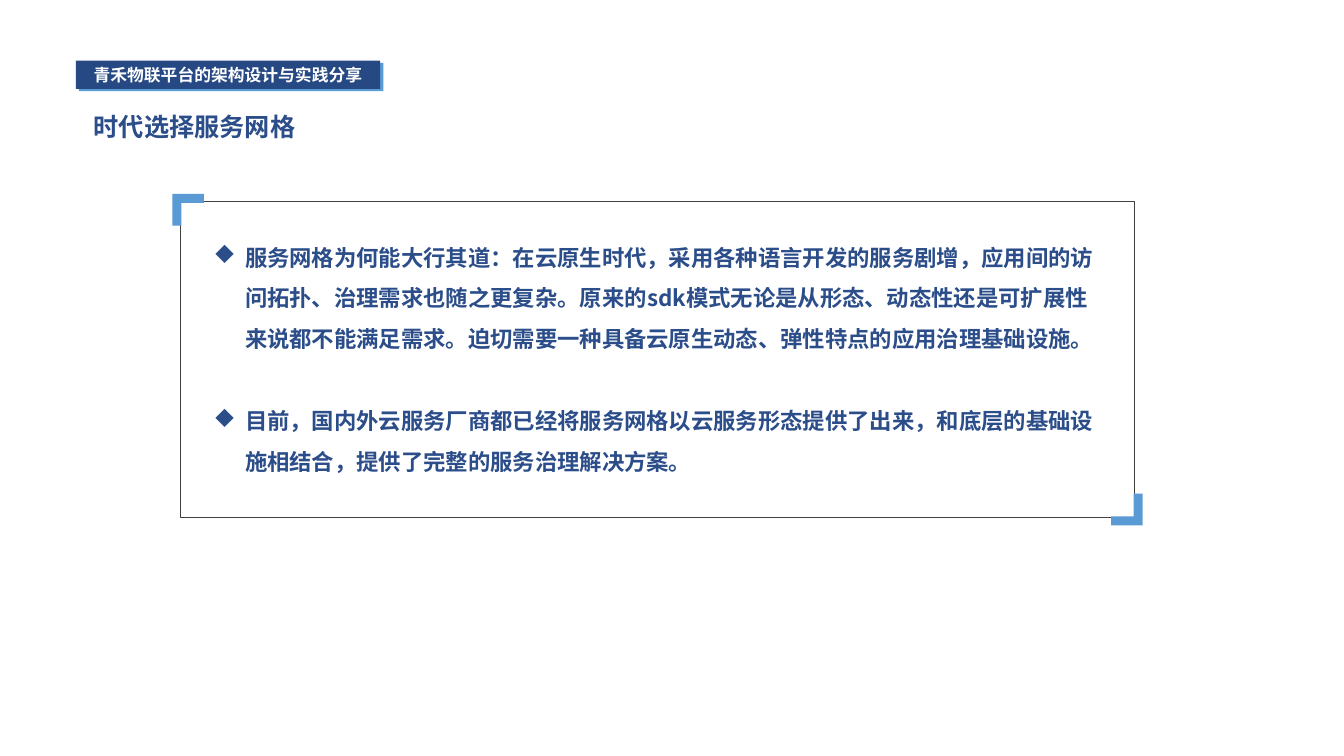
from lxml.etree import SubElement
from pptx import Presentation
from pptx.dml.color import RGBColor
from pptx.enum.shapes import MSO_SHAPE
from pptx.enum.text import MSO_ANCHOR, PP_ALIGN
from pptx.oxml.ns import qn
from pptx.util import Pt

NAVY = "264984"
INK = "2B4D89"
SKY = "5B9BD5"
CJK = "Noto Sans CJK SC"

POINTS = [
    (161.28, 94.5, "服务网格为何能大行其道：在云原生时代，采用各种语言开发的服务剧增，应用间的访问拓扑、治理需求也随之更复杂。原来的sdk模式无论是从形态、动态性还是可扩展性来说都不能满足需求。迫切需要一种具备云原生动态、弹性特点的应用治理基础设施。"),
    (277.92, 65.5, "目前，国内外云服务厂商都已经将服务网格以云服务形态提供了出来，和底层的基础设施相结合，提供了完整的服务治理解决方案。"),
]


def color(value):
    return RGBColor.from_string(value)


def place(shape, left, top, width, height):
    shape.left, shape.top = Pt(left), Pt(top)
    shape.width, shape.height = Pt(width), Pt(height)


def fill_plain(shape, fill):
    shape.shadow.inherit = False
    shape.fill.solid()
    shape.fill.fore_color.rgb = color(fill)
    shape.line.fill.background()


def write(box, text, size, ink, latin=CJK):
    box.text_frame.text = text
    box.text_frame.word_wrap = True
    para = box.text_frame.paragraphs[0]
    for span in para.runs:
        span.font.size = Pt(size)
        span.font.bold = True
        span.font.name = latin
        span.font.color.rgb = color(ink)
        SubElement(span.font._element, qn("a:ea"), typeface=CJK)
    return para


def add_bar(page, left, top, fill):
    bar = page.shapes.add_shape(MSO_SHAPE.RECTANGLE, Pt(left), Pt(top), Pt(217.5), Pt(20.2))
    fill_plain(bar, fill)


def add_banner(page, text):
    add_bar(page, 56.3, 44.9, SKY)
    add_bar(page, 54.1, 43.3, NAVY)
    label = page.shapes.add_textbox(Pt(54.1), Pt(42.9), Pt(217.5), Pt(21.8))
    write(label, text, 12, "FFFFFF", "Arial").alignment = PP_ALIGN.CENTER


def set_title(page, text):
    title = page.shapes.title
    place(title, 66.96, 79.2, 278.64, 21.8)
    frame = title.text_frame
    frame.margin_left = frame.margin_right = frame.margin_top = frame.margin_bottom = 0
    frame.vertical_anchor = MSO_ANCHOR.MIDDLE
    write(title, text, 18, INK).alignment = PP_ALIGN.LEFT


def add_frame(page):
    panel = page.shapes.add_shape(MSO_SHAPE.RECTANGLE, Pt(129), Pt(144), Pt(681.2), Pt(225.5))
    panel.shadow.inherit = False
    panel.fill.background()
    panel.line.color.rgb = color("404040")
    panel.line.width = Pt(0.25)


def add_corner(page, x, y, direction):
    arm, thick = 22.6 * direction, 6.4 * direction
    outline = [(arm, 0), (arm, thick), (thick, thick), (thick, arm), (0, arm)]
    builder = page.shapes.build_freeform(Pt(x), Pt(y))
    builder.add_line_segments([(Pt(x + across), Pt(y + down)) for across, down in outline])
    fill_plain(builder.convert_to_shape(), SKY)


def add_point(page, top, height, text):
    box = page.shapes.add_textbox(Pt(145.44), Pt(top), Pt(648), Pt(height))
    para = write(box, text, 16, INK)
    properties = para._p.get_or_add_pPr()
    properties.set("marL", str(Pt(22.5)))
    properties.set("indent", str(Pt(-22.5)))
    SubElement(properties, qn("a:buFont"), typeface="Wingdings", charset="2")
    SubElement(properties, qn("a:buChar"), char="u")
    para.line_spacing = 1.5


def main():
    deck = Presentation()
    deck.slide_width, deck.slide_height = Pt(960), Pt(540)
    page = deck.slides.add_slide(deck.slide_layouts[5])
    add_banner(page, "青禾物联平台的架构设计与实践分享")
    set_title(page, "时代选择服务网格")
    add_frame(page)
    add_corner(page, 123.1, 138.5, 1)
    add_corner(page, 816.2, 375.2, -1)
    for top, height, text in POINTS:
        add_point(page, top, height, text)
    deck.save("out.pptx")


if __name__ == "__main__":
    main()
